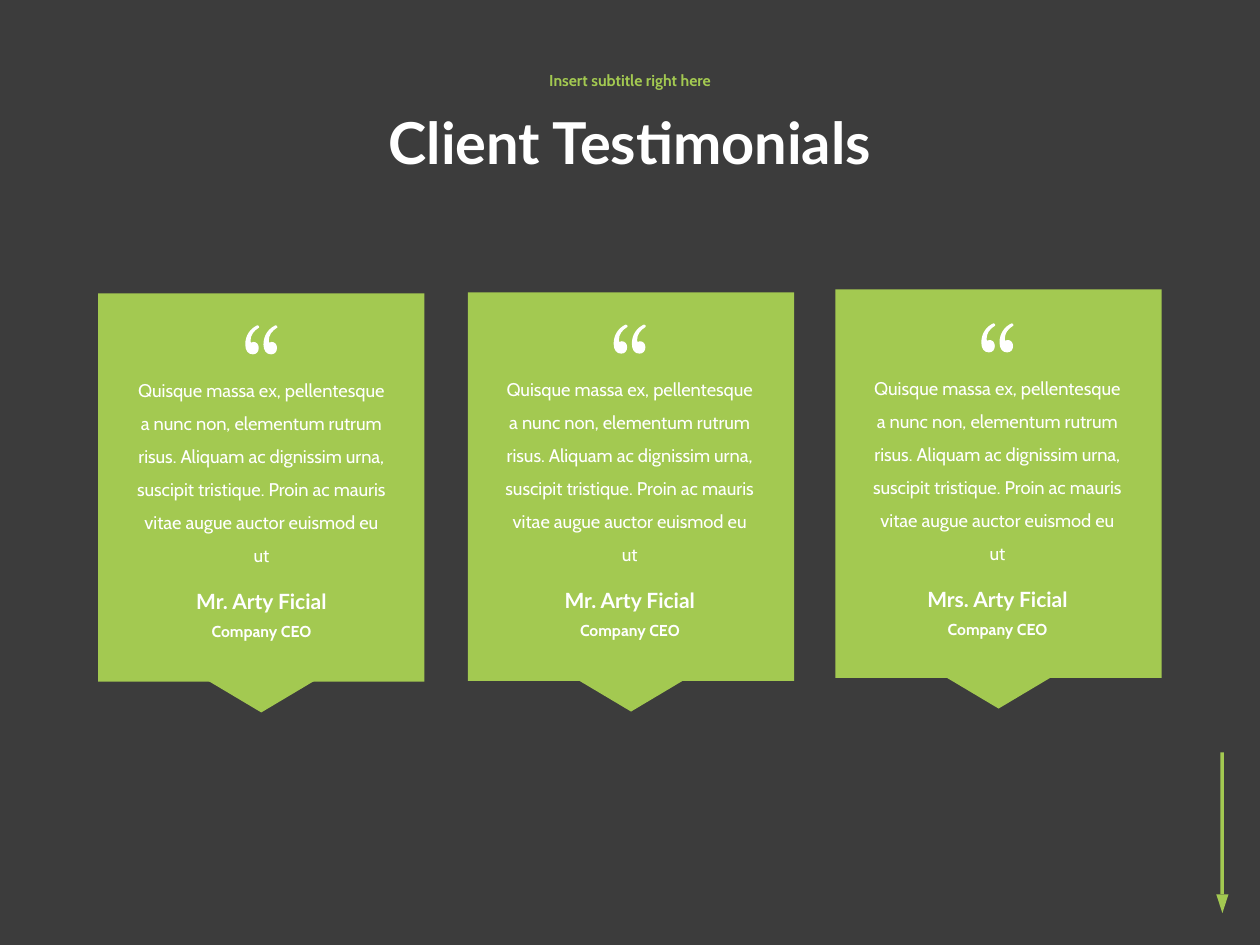
from lxml.etree import SubElement
from pptx import Presentation
from pptx.dml.color import RGBColor
from pptx.enum.shapes import MSO_SHAPE as SHAPE
from pptx.enum.text import MSO_ANCHOR as ANCHOR, MSO_AUTO_SIZE as AUTO, PP_ALIGN as ALIGN
from pptx.oxml.ns import qn
from pptx.util import Pt

GREEN, WHITE, DARK = "A3C951", "FFFFFF", "3C3C3C"
QUOTE = ("Quisque massa ex, pellentesque a nunc non, elementum rutrum risus. "
         "Aliquam ac dignissim urna, suscipit tristique. Proin ac mauris vitae "
         "augue auctor euismod eu ut")
# name, card centre, card top, text centre, text top
CLIENTS = [
    ("Mr. Arty Ficial", 149.3, 167.6, 149.4, 206.8),
    ("Mr. Arty Ficial", 360.6, 167.1, 359.9, 206.4),
    ("Mrs. Arty Ficial", 570.6, 165.4, 570, 205.7),
]
CARD_W, CARD_H = 186.5, 222
POINTER_W, POINTER_H = 62.2, 18.5
MARK_W, MARK_H = 18.5, 16.6
MARK_GRID, MARK_STEP = (256, 230), 144
MARK_START = (110, 18)
MARK_CURVES = [
    ((65, 45), (42, 80), (42, 120)),
    ((42, 132), (44, 138), (47, 138)),
    ((50, 138), (53, 132), (62, 132)),
    ((76, 132), (86, 135), (95, 145)),
    ((103, 154), (107, 165), (107, 180)),
    ((107, 210), (88, 230), (60, 230)),
    ((22, 230), (0, 200), (0, 152)),
    ((0, 80), (40, 25), (96, 0)),
    ((105, 0), (114, 8), MARK_START),
]


def rgb(value):
    """Turn a hex string into a colour."""
    return RGBColor.from_string(value)


def paint(s, color):
    """Give a shape a flat fill with no outline or shadow."""
    s.shadow.inherit = False
    s.fill.solid()
    s.fill.fore_color.rgb = rgb(color)
    s.line.fill.background()


def add_block(shapes, kind, x, y, w, h, rotation=0):
    """Add a flat green preset shape."""
    s = shapes.add_shape(kind, Pt(x), Pt(y), Pt(w), Pt(h))
    s.rotation = rotation
    paint(s, GREEN)


def write(tf, text, *, size, font, color=WHITE, bold=False, spacing=1.0, anchor=ANCHOR.TOP):
    """Write one centred, formatted paragraph into a text frame."""
    tf.word_wrap = True
    tf.auto_size = AUTO.NONE
    tf.vertical_anchor = anchor
    p = tf.paragraphs[0]
    p.alignment = ALIGN.CENTER
    p.line_spacing = spacing
    p.space_before = Pt(0)
    r = p.add_run()
    r.text = text
    r.font.size, r.font.name, r.font.bold = Pt(size), font, bold
    r.font.color.rgb = rgb(color)


def add_label(shapes, text, cx, y, w, h, **fmt):
    """Add a text box centred on cx."""
    s = shapes.add_textbox(Pt(cx - w / 2), Pt(y), Pt(w), Pt(h))
    write(s.text_frame, text, **fmt)


def fill_placeholder(s, text, x, y, w, h, **fmt):
    """Move a placeholder and write its text."""
    s.left, s.top, s.width, s.height = Pt(x), Pt(y), Pt(w), Pt(h)
    write(s.text_frame, text, anchor=ANCHOR.MIDDLE, spacing=0.9, bold=True, **fmt)


def add_command(path, tag, points=(), shift=0):
    """Append a drawing command with its points to a path."""
    command = SubElement(path, qn(f"a:{tag}"))
    for x, y in points:
        SubElement(command, qn("a:pt"), x=str(x + shift), y=str(y))


def add_quote_mark(shapes, cx, y):
    """Draw a double opening quotation mark centred on cx."""
    left, right, bottom = Pt(cx - MARK_W / 2), Pt(cx + MARK_W / 2), Pt(y + MARK_H)
    builder = shapes.build_freeform(left, Pt(y))
    builder.add_line_segments([(right, Pt(y)), (right, bottom), (left, bottom)])
    s = builder.convert_to_shape()
    paint(s, WHITE)
    path = next(s.element.iter(qn("a:path")))
    for command in list(path):
        path.remove(command)
    for key, length in zip("wh", MARK_GRID):
        path.set(key, str(length))
    for shift in (0, MARK_STEP):
        add_command(path, "moveTo", [MARK_START], shift)
        for curve in MARK_CURVES:
            add_command(path, "cubicBezTo", curve, shift)
        add_command(path, "close")


def add_card(shapes, cx, y):
    """Add a card with a pointer below it."""
    add_block(shapes, SHAPE.RECTANGLE, cx - CARD_W / 2, y, CARD_W, CARD_H)
    add_block(shapes, SHAPE.ISOSCELES_TRIANGLE, cx - POINTER_W / 2, y + CARD_H - 1,
              POINTER_W, POINTER_H, rotation=180)


def add_testimonial(shapes, name, cx, y):
    """Add the quotation, the client's name and the role."""
    add_label(shapes, name, cx, y + 126, 157.7, 21.6, size=12, font="Lato", bold=True)
    add_label(shapes, "Company CEO", cx, y + 145, 107.3, 18, size=9, font="Cabin", bold=True)
    add_label(shapes, QUOTE, cx, y, 158.4, 119.5, size=10.5, font="Cabin", spacing=1.5)
    add_quote_mark(shapes, cx, y - 20.9)


def add_down_arrow(shapes):
    """Add the arrow in the lower right corner."""
    add_block(shapes, SHAPE.RECTANGLE, 657.9, 469.5, 81, 2, rotation=90)
    add_block(shapes, SHAPE.ISOSCELES_TRIANGLE, 695, 511, 7, 10.8, rotation=180)


def main():
    """Build and save the slide."""
    prs = Presentation()
    prs.slide_width, prs.slide_height = Pt(720), Pt(540)
    slide = prs.slides.add_slide(prs.slide_layouts[0])
    slide.background.fill.solid()
    slide.background.fill.fore_color.rgb = rgb(DARK)
    shapes = slide.shapes
    fill_placeholder(shapes.title, "Client Testimonials", 157.5, 46.4, 405, 74.2,
                     size=33, font="Lato")
    fill_placeholder(slide.placeholders[1], "Insert subtitle right here",
                     157.5, 32.8, 405, 27.4, size=9, font="Cabin", color=GREEN)
    add_down_arrow(shapes)
    for _, cx, y, _, _ in CLIENTS:
        add_card(shapes, cx, y)
    for name, _, _, cx, y in CLIENTS:
        add_testimonial(shapes, name, cx, y)
    prs.save("out.pptx")


if __name__ == "__main__":
    main()
